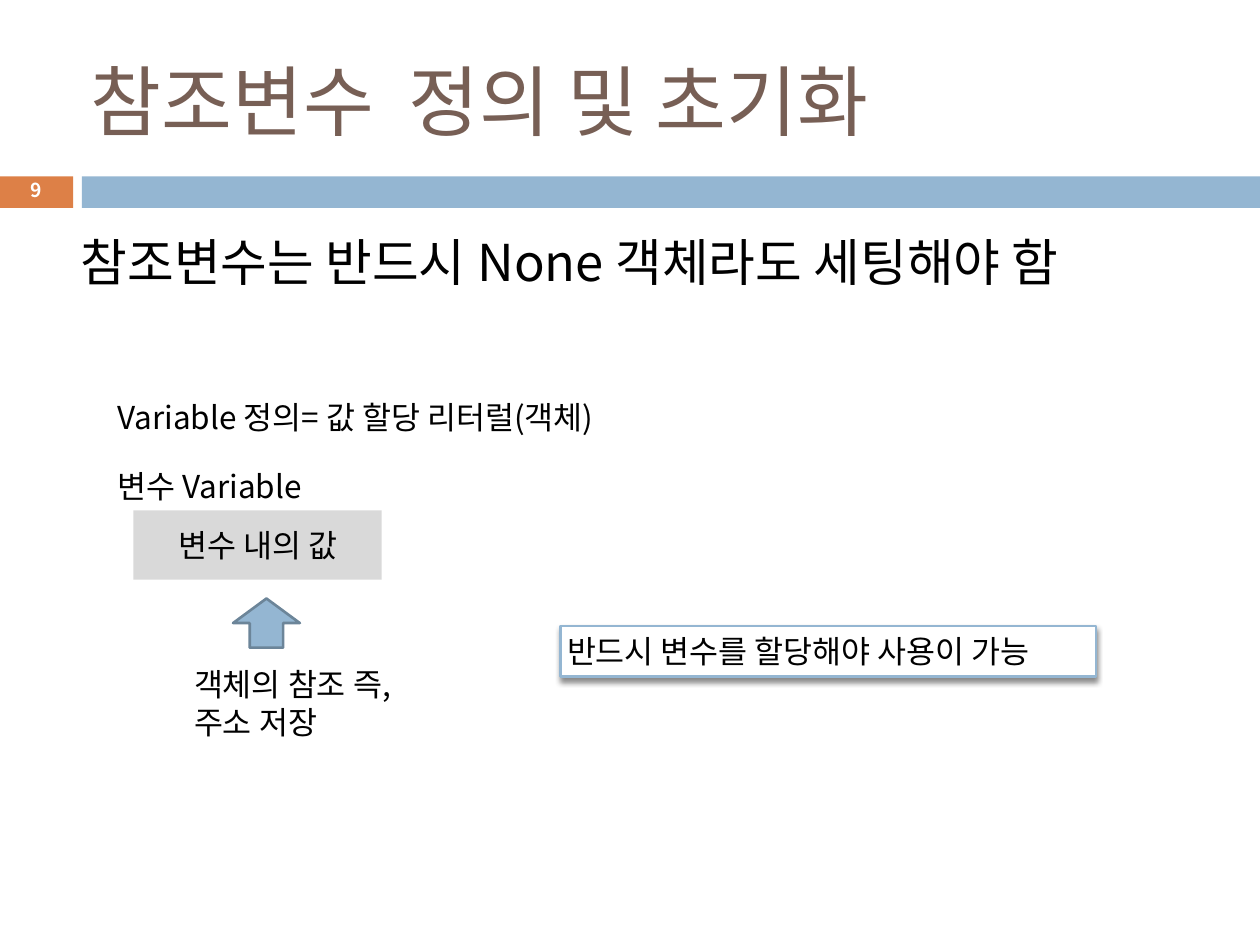
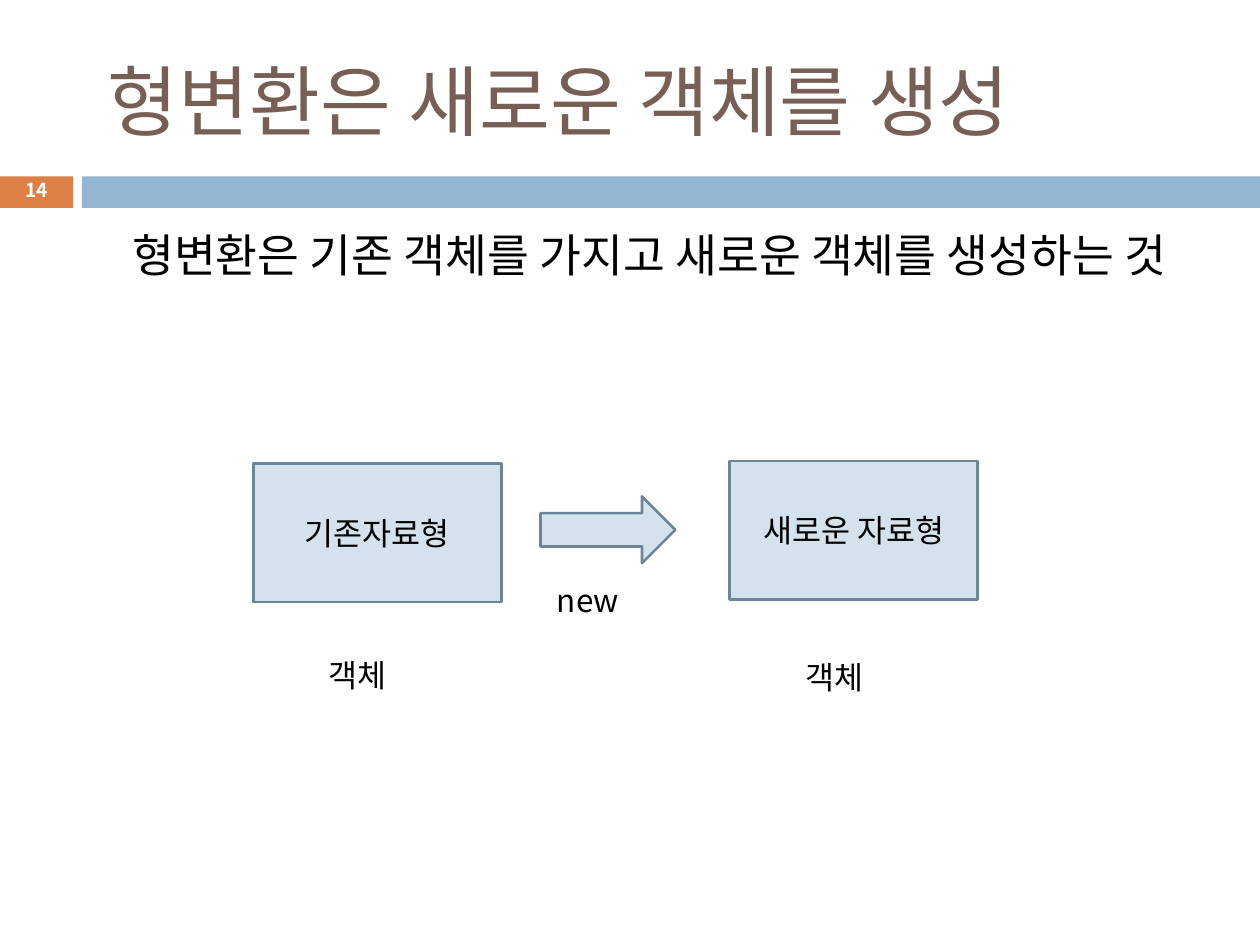
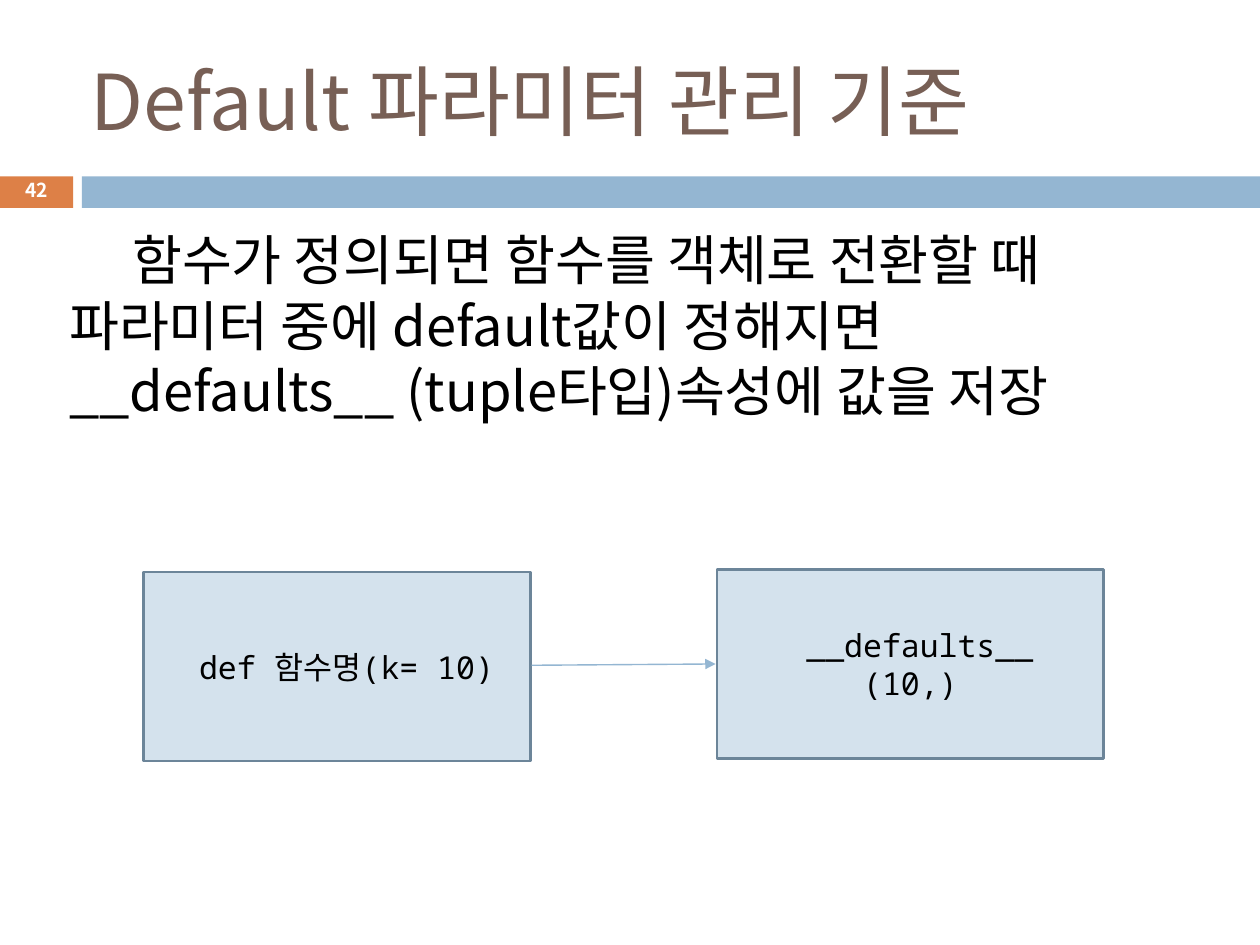
import dataclasses

import lxml.etree
import pptx
import pptx.dml.color
import pptx.enum.shapes
import pptx.enum.text
import pptx.oxml.ns
import pptx.util

Pt = pptx.util.Pt
Kind = pptx.enum.shapes.MSO_SHAPE
Align = pptx.enum.text.PP_ALIGN
Anchor = pptx.enum.text.MSO_ANCHOR
qn = pptx.oxml.ns.qn


@dataclasses.dataclass(frozen=True)
class Theme:
    sans: str = "Noto Sans CJK KR"
    mono: str = "Noto Sans Mono"
    black: str = "000000"
    white: str = "FFFFFF"
    brown: str = "775F55"
    orange: str = "DD8047"
    blue: str = "94B6D2"
    pale: str = "D4E2ED"
    slate: str = "6C8599"
    gray: str = "D9D9D9"
    title: int = 44
    label: int = 18
    number: int = 11
    edge: float = 1.5
    thin: float = 0.79
    inset: float = 3.6


theme = Theme()


def draw(slide, kind, box, fill, line=None):
    shape = slide.shapes.add_shape(kind, *map(Pt, box))
    shape.shadow.inherit = False
    shape.fill.solid()
    shape.fill.fore_color.rgb = pptx.dml.color.RGBColor.from_string(fill)
    if line:
        shape.line.color.rgb = pptx.dml.color.RGBColor.from_string(line)
        shape.line.width = Pt(theme.edge)
    else:
        shape.line.fill.background()
    return shape


def write(slide, text, box=None, shape=None, size=theme.label, color=theme.black,
          font=theme.sans, align=Align.LEFT, anchor=Anchor.TOP, bold=False):
    """Put text into a shape, or into a new text box when none is given."""
    shape = shape or slide.shapes.add_textbox(*map(Pt, box))
    frame = shape.text_frame
    frame.word_wrap = True
    frame.vertical_anchor = anchor
    frame.margin_left = frame.margin_right = Pt(theme.inset)
    frame.margin_top = frame.margin_bottom = Pt(theme.inset)
    frame.text = text
    for para in frame.paragraphs:
        para.alignment = align
        for run in para.runs:
            run.font.name = font
            run.font.size = Pt(size)
            run.font.bold = bold
            run.font.color.rgb = pptx.dml.color.RGBColor.from_string(color)
            east = lxml.etree.SubElement(run.font._element, qn("a:ea"))
            east.set("typeface", theme.sans)
    return frame.paragraphs[0]


deck = pptx.Presentation()
deck.slide_width, deck.slide_height = Pt(720), Pt(540)

# Number, title, body, body top, body height, body size, space before, first indent
pages = [
    ("9", "참조변수  정의 및 초기화",
     " 참조변수는 반드시 None 객체라도 세팅해야 함", 128.16, 93.6, 29, 7, 0),
    ("14", " 형변환은 새로운 객체를 생성",
     "형변환은 기존 객체를 가지고 새로운 객체를 생성하는 것", 126, 87.12, 26, 5, 36),
    ("42", "Default 파라미터 관리 기준",
     "함수가 정의되면 함수를 객체로 전환할 때 파라미터 중에 default값이 정해지면 "
     "__defaults__ (tuple타입)속성에 값을 저장", 126, 155.52, 31, 5, 36),
]
slides = []
for number, title, body, top, height, size, space, indent in pages:
    slide = deck.slides.add_slide(deck.slide_layouts[6])
    slides.append(slide)
    draw(slide, Kind.RECTANGLE, (0, 100.8, 41.76, 18), theme.orange)
    draw(slide, Kind.RECTANGLE, (46.8, 100.8, 673.2, 18), theme.blue)
    write(slide, title, (48.24, 18, 642.24, 77.76), size=theme.title,
          color=theme.brown, anchor=Anchor.MIDDLE)
    para = write(slide, body, (36, top, 648, height), size=size)
    para.space_before = Pt(space)
    para._p.get_or_add_pPr().set("indent", str(Pt(indent)))
    para = write(slide, number, (0, 98.64, 41.76, 21.6), size=theme.number,
                 color=theme.white, align=Align.CENTER, anchor=Anchor.MIDDLE, bold=True)
    para.line_spacing = 0.8
define, convert, default = slides

# Defining a reference variable
value = draw(define, Kind.RECTANGLE, (76.32, 291.6, 141.84, 39.6), theme.gray)
write(define, "변수 내의 값", shape=value, align=Align.CENTER, anchor=Anchor.MIDDLE)
for text, box in [
    ("Variable 정의= 값 할당 리터럴(객체)", (63.36, 223.92, 355.68, 28.8)),
    ("변수 Variable", (63.36, 263.52, 131.04, 28.8)),
    ("객체의 참조 즉, 주소 저장", (107.28, 376.56, 133.92, 51.12)),
]:
    write(define, text, box)
draw(define, Kind.UP_ARROW, (133.2, 342, 38.16, 28.08), theme.blue, theme.slate)
notice = draw(define, Kind.RECTANGLE, (320.4, 357.84, 306, 28.8), theme.white, theme.blue)
write(define, "반드시 변수를 할당해야 사용이 가능", shape=notice, anchor=Anchor.MIDDLE)
effects = notice._element.spPr.find(qn("a:effectLst"))
shadow = lxml.etree.SubElement(effects, qn("a:outerShdw"), blurRad=str(Pt(3)),
                               dist=str(Pt(2.4)), dir="5400000", rotWithShape="0")
tint = lxml.etree.SubElement(shadow, qn("a:srgbClr"), val=theme.black)
lxml.etree.SubElement(tint, qn("a:alpha"), val="45000")

# Converting a type
for text, left, top, below in [
    ("기존자료형", 144.72, 264.96, 371.52),
    ("새로운 자료형", 416.88, 263.52, 372.24),
]:
    block = draw(convert, Kind.RECTANGLE, (left, top, 141.84, 79.2), theme.pale, theme.slate)
    write(convert, text, shape=block, align=Align.CENTER, anchor=Anchor.MIDDLE)
    write(convert, "객체", (left + 39.6, below, 79.2, 28.8))
draw(convert, Kind.RIGHT_ARROW, (308.88, 283.68, 77.04, 38.16), theme.pale, theme.slate)
write(convert, "new", (314.64, 328.32, 79.2, 28.8))

# Keeping default parameters
for text, left, top in [
    (" def 함수명(k= 10)", 82.08, 326.88),
    (" __defaults__\n(10,)", 409.68, 325.44),
]:
    block = draw(default, Kind.RECTANGLE, (left, top, 221.04, 108), theme.pale, theme.slate)
    write(default, text, shape=block, font=theme.mono, align=Align.CENTER,
          anchor=Anchor.MIDDLE)
link = default.shapes.add_connector(pptx.enum.shapes.MSO_CONNECTOR.STRAIGHT,
                                    Pt(303.84), Pt(380.16), Pt(408.96), Pt(379.44))
link.line.color.rgb = pptx.dml.color.RGBColor.from_string(theme.blue)
link.line.width = Pt(theme.thin)
lxml.etree.SubElement(link.line._get_or_add_ln(), qn("a:tailEnd"), type="triangle")
lxml.etree.SubElement(link._element.spPr, qn("a:effectLst"))

deck.save("out.pptx")
